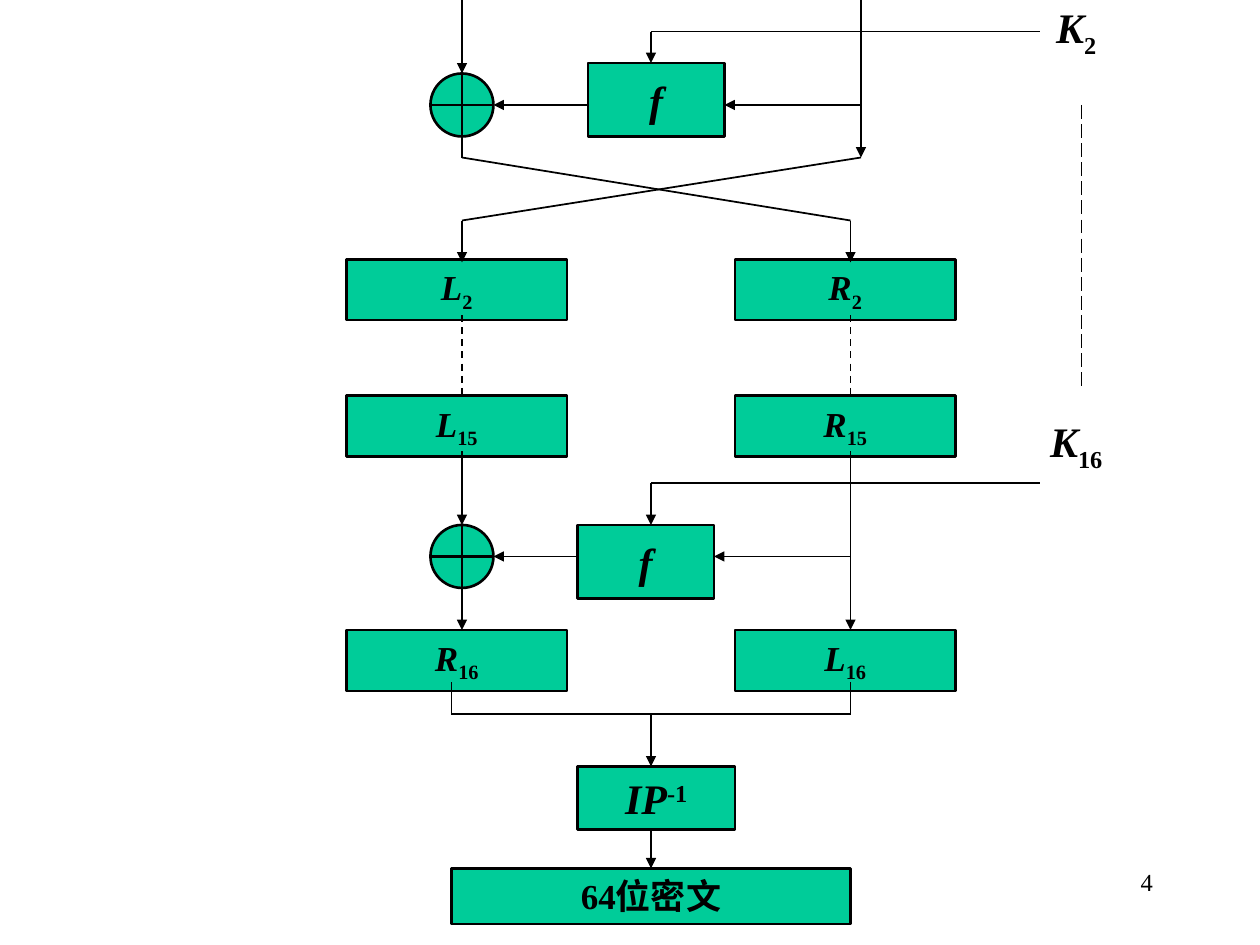
from pptx import Presentation
from pptx.dml.color import RGBColor
from pptx.enum.dml import MSO_LINE as DASH
from pptx.enum.shapes import MSO_CONNECTOR, MSO_SHAPE as SHAPE
from pptx.enum.text import MSO_ANCHOR as ANCHOR, MSO_AUTO_SIZE as AUTO, PP_ALIGN as ALIGN
from pptx.oxml.ns import qn
from pptx.util import Emu, Pt
from lxml.etree import SubElement

PX = 7620
SLIDE_W, SLIDE_H = 1200, 900


def px(n):
    """Turn px (120 to the inch) into EMU."""
    return Emu(n * PX)


def color(hex_text):
    """Turn a hex string into a colour."""
    return RGBColor.from_string(hex_text)


class Diagram:
    """Style of the cipher diagram and the slide it is drawn on."""

    FONT, INK, FILL = "Times New Roman", "000000", "00CC99"
    SUB, SUPER = -25000, 30000

    def __init__(self, slide):
        """Keep the slide to draw on."""
        self.slide = slide

    def add_text(self, sp, size, runs, align=ALIGN.CENTER, anchor=ANCHOR.TOP, wrap=True, grow=False):
        """Fill a shape with runs given as (text, bold, italic, baseline)."""
        tf = sp.text_frame
        tf.word_wrap = wrap
        tf.vertical_anchor = anchor
        tf.auto_size = AUTO.SHAPE_TO_FIT_TEXT if grow else AUTO.NONE
        p = tf.paragraphs[0]
        p.alignment = align
        for text, bold, italic, baseline in runs:
            r = p.add_run()
            r.text = text
            r.font.name, r.font.size = self.FONT, Pt(size)
            r.font.bold, r.font.italic = bold, italic
            r.font.color.rgb = color(self.INK)
            if baseline:
                r.font._element.set("baseline", str(baseline))

    def shape(self, kind, x, y, w, h):
        """Add a filled, outlined preset shape."""
        sp = self.slide.shapes.add_shape(kind, px(x), px(y), px(w), px(h))
        sp.shadow.inherit = False
        sp.fill.solid()
        sp.fill.fore_color.rgb = color(self.FILL)
        sp.line.color.rgb = color(self.INK)
        sp.line.width = Pt(1.5)
        return sp

    def register(self, x, y, name, index):
        """Add a half-block box such as L with a subscript."""
        sp = self.shape(SHAPE.RECTANGLE, x, y, 210, 58)
        self.add_text(sp, 20, [(name, True, True, 0), (index, True, False, self.SUB)], grow=True)

    def operation(self, x, y, w, h, runs):
        """Add a box for a function, its text in the middle."""
        sp = self.shape(SHAPE.RECTANGLE, x, y, w, h)
        self.add_text(sp, 24, runs, anchor=ANCHOR.MIDDLE, wrap=False)

    def xor(self, x, y):
        """Add a circled plus."""
        self.shape(SHAPE.FLOWCHART_OR, x, y, 60, 60)

    def label(self, x, y, w, h, size, runs, **style):
        """Add a text box."""
        sp = self.slide.shapes.add_textbox(px(x), px(y), px(w), px(h))
        self.add_text(sp, size, runs, **style)

    def line(self, x1, y1, x2, y2, width=1, dash=None, arrow=False):
        """Add a straight connector, with an arrowhead at its end if asked."""
        cxn = self.slide.shapes.add_connector(
            MSO_CONNECTOR.STRAIGHT, px(x1), px(y1), px(x2), px(y2))
        cxn.line.color.rgb = color(self.INK)
        cxn.line.width = Pt(width)
        if dash:
            cxn.line.dash_style = dash
        if arrow:
            SubElement(cxn.line._get_or_add_ln(), qn("a:tailEnd"), type="triangle")
        SubElement(cxn._element.spPr, qn("a:effectLst"))
        return cxn

    def arrow(self, x1, y1, x2, y2, width=1):
        """Add a connector that ends in an arrowhead."""
        return self.line(x1, y1, x2, y2, width, arrow=True)


def main():
    """Draw the last rounds of the cipher and save the slide."""
    prs = Presentation()
    prs.slide_width, prs.slide_height = px(SLIDE_W), px(SLIDE_H)
    d = Diagram(prs.slides.add_slide(prs.slide_layouts[6]))
    left, middle, right, right_in = 440, 620, 810, 820

    d.label(860, 820, 250, 60, 14, [("4", False, False, 0)], align=ALIGN.RIGHT)
    cipher = d.shape(SHAPE.RECTANGLE, 430, 827, 380, 53)
    d.add_text(cipher, 20, [("64位密文", True, False, 0)], grow=True)

    for y, names, index in ((247, "LR", "2"), (377, "LR", "15"), (600, "RL", "16")):
        for x, name in zip((330, 700), names):
            d.register(x, y, name, index)

    rounds = (
        ("2", -4, 30, 560, 60, 70, right_in, 0.75),
        ("16", 390, 460, 550, 500, 500, right, 1),
    )
    for index, key_y, feed_y, f_x, f_y, xor_y, source_x, width in rounds:
        mid_y = xor_y + 30
        d.xor(410, xor_y)
        d.operation(f_x, f_y, 130, 70, [("f", True, True, 0)])
        d.label(960, key_y, 130, 67, 24,
                [("K", True, True, 0), (index, True, False, d.SUB)], grow=True)
        d.line(middle, feed_y, 990, feed_y)
        d.arrow(middle, feed_y, middle, f_y)
        d.arrow(source_x, mid_y, f_x + 130, mid_y, width)
        d.arrow(f_x, mid_y, 470, mid_y, width)

    d.arrow(left, 0, left, 70)
    d.arrow(right_in, 0, right_in, 150)
    d.line(left, 130, left, 150, 0.75)
    d.line(left, 150, right, 210)
    d.line(right_in, 150, left, 210)
    for x in (left, right):
        d.arrow(x, 210, x, 250)
        d.line(x, 300, x, 380, dash=DASH.DASH)
    d.line(1030, 100, 1030, 370, dash=DASH.LONG_DASH)

    d.arrow(left, 430, left, 500)
    d.arrow(left, 560, left, 600)
    d.arrow(right, 430, right, 600)

    for x in (430, right):
        d.line(x, 650, x, 680)
    d.line(430, 680, right, 680)
    d.operation(550, 730, 150, 60, [("IP", True, True, 0), ("-1", True, False, d.SUPER)])
    d.arrow(middle, 680, middle, 730)
    d.arrow(middle, 790, middle, 827).end_connect(cipher, 0)

    prs.save("out.pptx")


if __name__ == "__main__":
    main()
